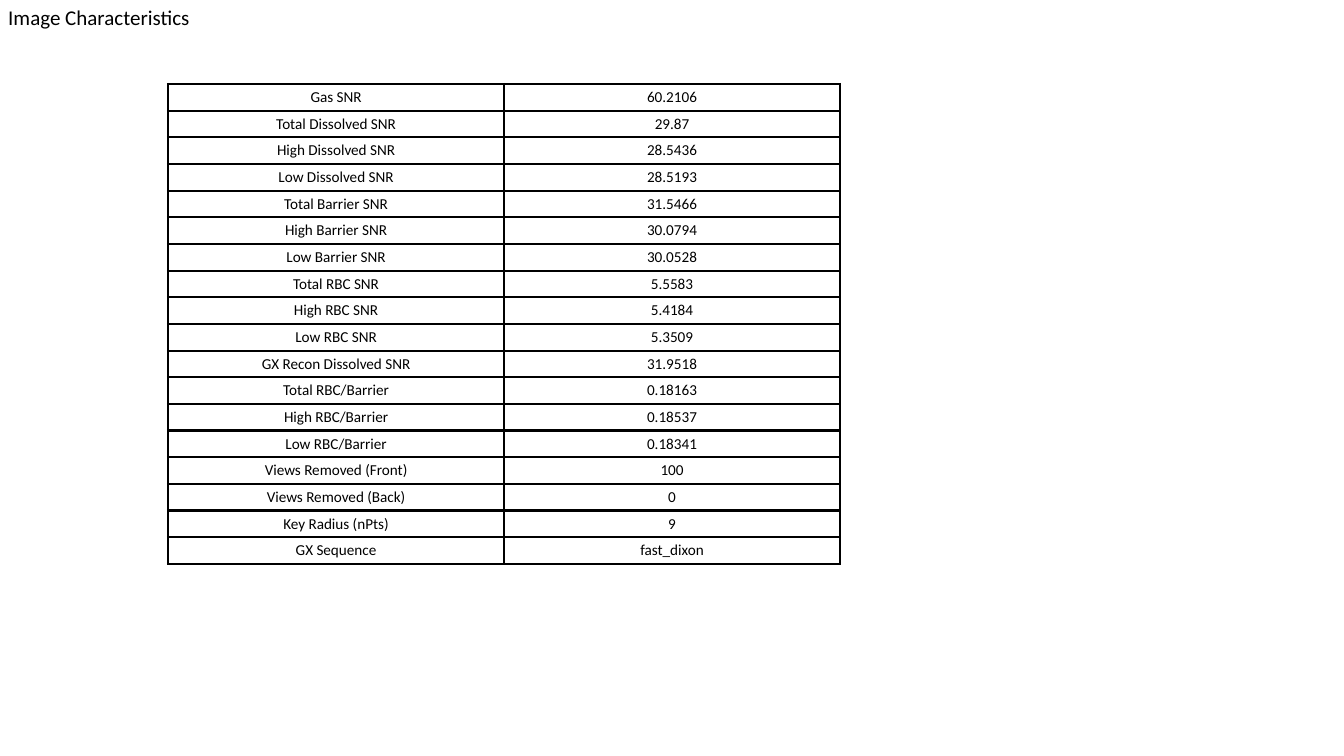
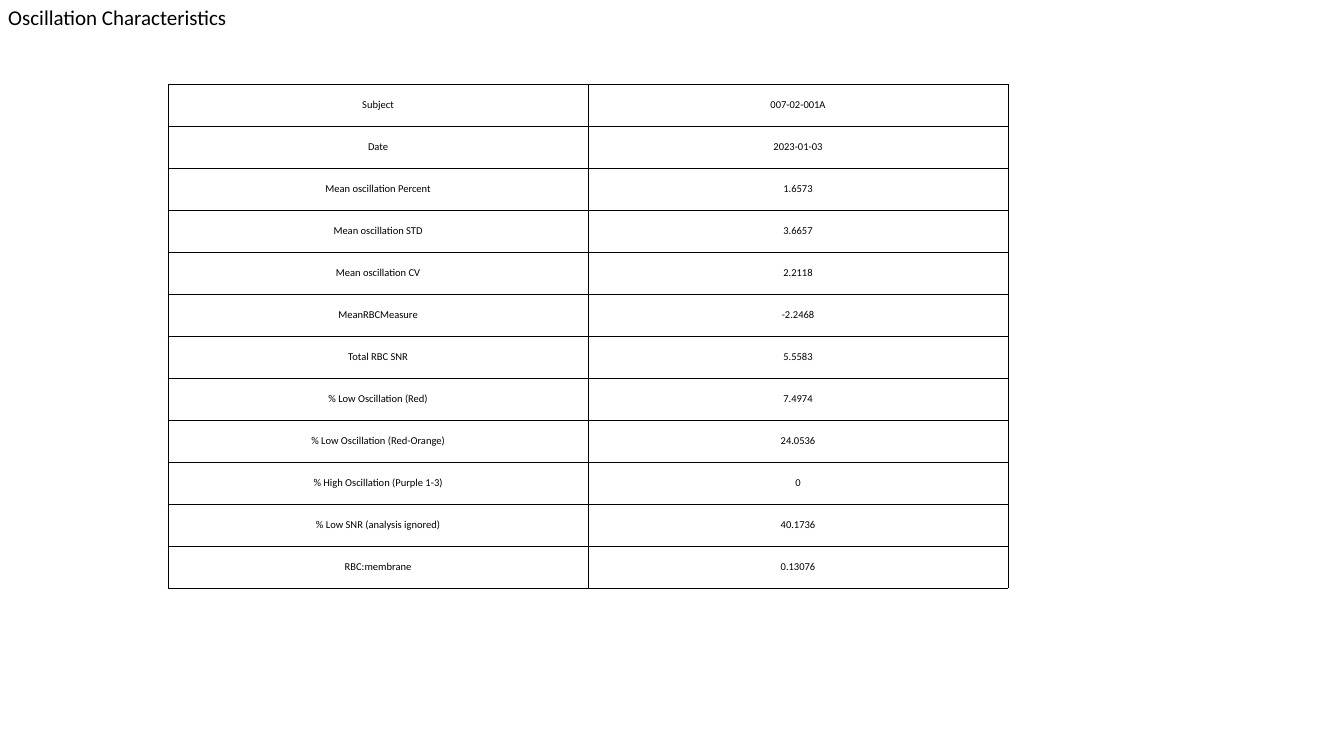
import dataclasses

import lxml.etree
import pptx
import pptx.dml.color
import pptx.enum.text
import pptx.oxml.ns
import pptx.util

EMU_PER_INCH = 914400
PX_PER_INCH = 84


def px(length):
    return pptx.util.Emu(length * EMU_PER_INCH // PX_PER_INCH)


@dataclasses.dataclass(frozen=True)
class Theme:
    font: str = "Calibri"
    ink: str = "000000"
    paper: str = "FFFFFF"
    title_size: int = 18
    large_size: int = 13
    small_size: int = 9


class Report:
    width = 1344
    height = 756
    table_left = 168
    table_top = 84

    def __init__(self, theme):
        self.theme = theme
        self.presentation = pptx.Presentation()
        self.presentation.slide_width = px(self.width)
        self.presentation.slide_height = px(self.height)
        self.slide = None

    def add_slide(self, title):
        blank = self.presentation.slide_layouts[6]
        self.slide = self.presentation.slides.add_slide(blank)
        shape = self.slide.shapes.add_textbox(0, 0, px(self.width), px(self.height))
        shape.text_frame.word_wrap = True
        self.set_text(shape.text_frame, title, self.theme.title_size)

    def add_table(self, rows, width, height, size, border):
        frame = self.slide.shapes.add_table(
            len(rows), len(rows[0]),
            px(self.table_left), px(self.table_top), px(width), px(height))
        table = frame.table
        table.first_row = False
        table.horz_banding = False
        for row, values in zip(table.rows, rows):
            for cell, value in zip(row.cells, values):
                self.set_text(cell.text_frame, value, size, pptx.enum.text.PP_ALIGN.CENTER)
                cell.vertical_anchor = pptx.enum.text.MSO_ANCHOR.MIDDLE
                self.draw_borders(cell, border)
                cell.fill.solid()
                cell.fill.fore_color.rgb = pptx.dml.color.RGBColor.from_string(self.theme.paper)

    def set_text(self, text_frame, text, size, alignment=None):
        text_frame.text = text
        paragraph = text_frame.paragraphs[0]
        paragraph.alignment = alignment
        font = paragraph.runs[0].font
        font.name = self.theme.font
        font.size = pptx.util.Pt(size)
        font.color.rgb = pptx.dml.color.RGBColor.from_string(self.theme.ink)

    def draw_borders(self, cell, points):
        qn = pptx.oxml.ns.qn
        properties = cell._tc.get_or_add_tcPr()
        for side in ("L", "R", "T", "B"):
            line = lxml.etree.SubElement(
                properties, qn(f"a:ln{side}"), w=str(pptx.util.Pt(points)))
            fill = lxml.etree.SubElement(line, qn("a:solidFill"))
            lxml.etree.SubElement(fill, qn("a:srgbClr"), val=self.theme.ink)


IMAGE_ROWS = [
    ("Gas SNR", "60.2106"),
    ("Total Dissolved SNR", "29.87"),
    ("High Dissolved SNR", "28.5436"),
    ("Low Dissolved SNR", "28.5193"),
    ("Total Barrier SNR", "31.5466"),
    ("High Barrier SNR", "30.0794"),
    ("Low Barrier SNR", "30.0528"),
    ("Total RBC SNR", "5.5583"),
    ("High RBC SNR", "5.4184"),
    ("Low RBC SNR", "5.3509"),
    ("GX Recon Dissolved SNR", "31.9518"),
    ("Total RBC/Barrier", "0.18163"),
    ("High RBC/Barrier", "0.18537"),
    ("Low RBC/Barrier", "0.18341"),
    ("Views Removed (Front)", "100"),
    ("Views Removed (Back)", "0"),
    ("Key Radius (nPts)", "9"),
    ("GX Sequence", "fast_dixon"),
]

OSCILLATION_ROWS = [
    ("Subject", "007-02-001A"),
    ("Date", "2023-01-03"),
    ("Mean oscillation Percent", "1.6573"),
    ("Mean oscillation STD", "3.6657"),
    ("Mean oscillation CV", "2.2118"),
    ("MeanRBCMeasure", "-2.2468"),
    ("Total RBC SNR", "5.5583"),
    ("% Low Oscillation (Red)", "7.4974"),
    ("% Low Oscillation (Red-Orange)", "24.0536"),
    ("% High Oscillation (Purple 1-3)", "0"),
    ("% Low SNR (analysis ignored)", "40.1736"),
    ("RBC:membrane", "0.13076"),
]


def main():
    theme = Theme()
    report = Report(theme)

    report.add_slide("Image Characteristics")
    report.add_table(IMAGE_ROWS, width=672, height=336, size=theme.large_size, border=2)

    report.add_slide("Oscillation Characteristics")
    report.add_table(OSCILLATION_ROWS, width=840, height=504, size=theme.small_size, border=1)

    report.presentation.save("out.pptx")


if __name__ == "__main__":
    main()
